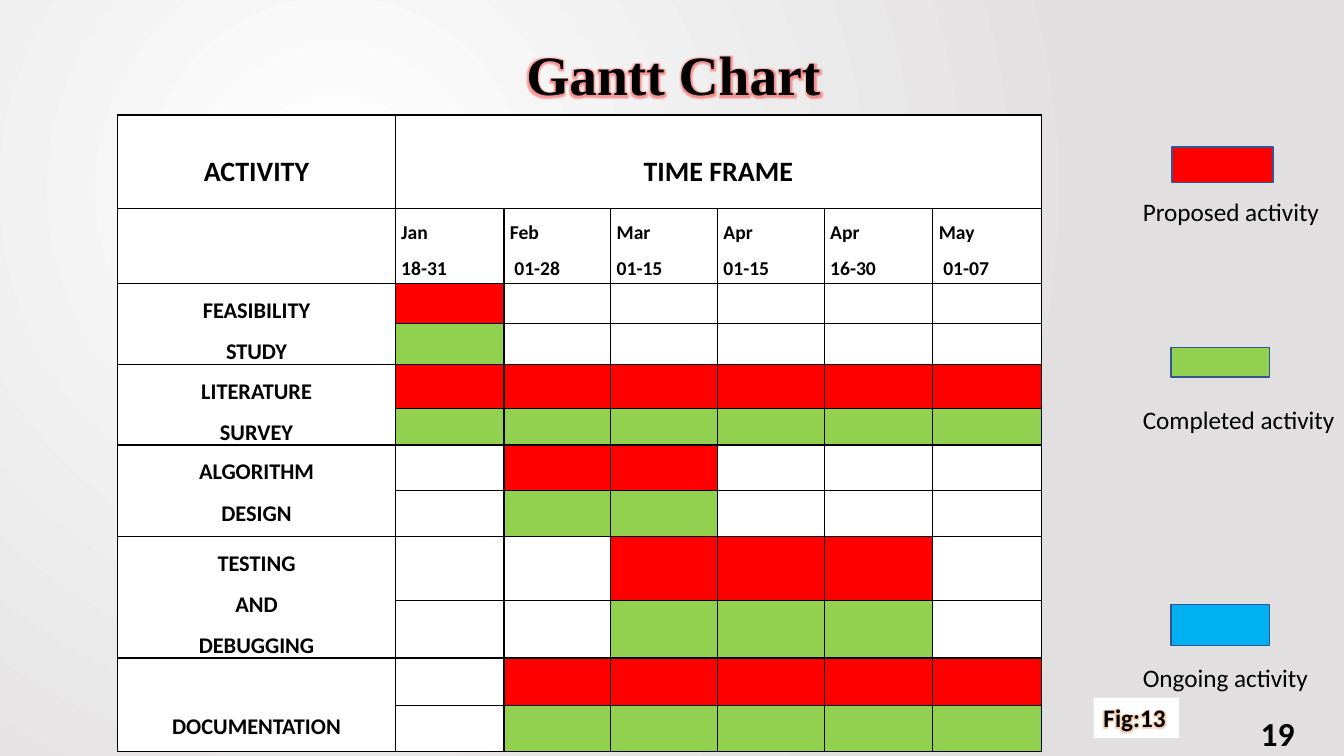
"""Build a project Gantt chart slide with a colour legend."""
from lxml.etree import SubElement
from pptx import Presentation
from pptx.dml.color import RGBColor
from pptx.enum.shapes import MSO_SHAPE
from pptx.enum.text import MSO_ANCHOR, MSO_AUTO_SIZE, PP_ALIGN
from pptx.oxml import parse_xml
from pptx.oxml.ns import nsdecls, qn
from pptx.util import Cm, Pt

COLOURS = {
    "ink": "000000",
    "paper": "FFFFFF",
    "backdrop": "E1DFDF",
    "proposed": "FF0000",
    "completed": "92D050",
    "ongoing": "00B0F0",
    "outline": "325491",
    "title glow": "FF0000",
    "figure glow": "ED7D31",
}
COLUMN_WIDTHS = [6.99, 2.74, 2.69, 2.69, 2.69, 2.74, 2.74]
ROW_HEIGHTS = [2.36, 1.88, 1.01, 1.03, 1.11, 0.92, 1.14, 1.17, 1.61, 1.45, 1.19, 1.16]
PERIODS = [("Jan", "18-31"), ("Feb", " 01-28"), ("Mar", "01-15"),
           ("Apr", "01-15"), ("Apr", "16-30"), ("May", " 01-07")]
ACTIVITIES = [
    (("FEASIBILITY", "STUDY"), 1, 1, 0),
    (("LITERATURE", "SURVEY"), 1, 6, 0),
    (("ALGORITHM", "DESIGN"), 2, 3, 0),
    (("TESTING", "AND", "DEBUGGING"), 3, 5, 0),
    (("DOCUMENTATION",), 2, 6, 1.04),
]
LEGEND = [
    ("Proposed activity", "proposed", (29.54, 3.71, 2.54, 0.89), 4.83),
    ("Completed activity", "completed", (29.51, 8.76, 2.49, 0.74), 10.06),
    ("Ongoing activity", "ongoing", (29.51, 15.24, 2.49, 1.02), 16.56),
]


def colour(name):
    return RGBColor.from_string(COLOURS[name])


def write(frame, *lines, size=18, font="Calibri", bold=False,
          align=PP_ALIGN.LEFT, spacing=1.0, glow=None):
    for index, line in enumerate(lines):
        paragraph = frame.paragraphs[0] if index == 0 else frame.add_paragraph()
        paragraph.alignment = align
        paragraph.line_spacing = spacing
        run = paragraph.add_run()
        run.text = line
        run.font.size = Pt(size)
        run.font.bold = bold
        run.font.color.rgb = colour("ink")
        if glow:
            add_glow(run, glow)
        run.font.name = font


def add_glow(run, name):
    run.font._element.append(parse_xml(
        f'<a:effectLst {nsdecls("a")}><a:glow rad="63500">'
        f'<a:srgbClr val="{COLOURS[name]}"><a:alpha val="40000"/></a:srgbClr>'
        '</a:glow></a:effectLst>'))


def add_label(slide, text, left, top, width, height, **style):
    label = slide.shapes.add_textbox(Cm(left), Cm(top), Cm(width), Cm(height))
    label.text_frame.word_wrap = True
    write(label.text_frame, text, **style)
    return label


def add_swatch(slide, fill, left, top, width, height):
    swatch = slide.shapes.add_shape(
        MSO_SHAPE.RECTANGLE, Cm(left), Cm(top), Cm(width), Cm(height))
    swatch.shadow.inherit = False
    swatch.fill.solid()
    swatch.fill.fore_color.rgb = colour(fill)
    swatch.line.color.rgb = colour("outline")
    swatch.line.width = Pt(1)


def paint_background(slide):
    fill = slide.background.fill
    fill.gradient()
    for stop, position, name in zip(fill.gradient_stops, (0, 1), ("paper", "backdrop")):
        stop.position = position
        stop.color.rgb = colour(name)
    gradient = slide.element.find(".//" + qn("a:gradFill"))
    gradient.remove(gradient.find(qn("a:lin")))
    circle = SubElement(gradient, qn("a:path"), path="circle")
    SubElement(circle, qn("a:fillToRect"), l="50000", t="50000", r="100000", b="100000")


def add_title(slide, text):
    title = slide.shapes.title
    title.left, title.top, title.width, title.height = Cm(2.34), Cm(1.02), Cm(29.26), Cm(1.88)
    title.text_frame.auto_size = MSO_AUTO_SIZE.NONE
    title.text_frame.vertical_anchor = MSO_ANCHOR.MIDDLE
    write(title.text_frame, text, size=39.6, font="Times New Roman", bold=True,
          align=PP_ALIGN.CENTER, spacing=0.9, glow="title glow")


def style_cell(cell):
    cell.margin_left = cell.margin_right = Cm(0.15)
    cell.margin_top = cell.margin_bottom = 0
    paint_cell(cell, "paper")
    properties = cell._tc.get_or_add_tcPr()
    for index, side in enumerate(("lnL", "lnR", "lnT", "lnB")):
        properties.insert(index, parse_xml(
            f'<a:{side} {nsdecls("a")} w="12700"><a:solidFill>'
            f'<a:srgbClr val="{COLOURS["ink"]}"/></a:solidFill></a:{side}>'))


def paint_cell(cell, name):
    cell.fill.solid()
    cell.fill.fore_color.rgb = colour(name)


def fill_heading(cell, *lines, size, drop=0, align=PP_ALIGN.CENTER):
    cell.margin_top = Cm(drop)
    write(cell.text_frame, *lines, size=size, bold=True, align=align, spacing=1.5)


def add_gantt(slide):
    gantt = slide.shapes.add_table(
        len(ROW_HEIGHTS), len(COLUMN_WIDTHS), Cm(2.97), Cm(2.9),
        Cm(sum(COLUMN_WIDTHS)), Cm(sum(ROW_HEIGHTS))).table
    gantt.first_row = gantt.horz_banding = False
    for column, width in zip(gantt.columns, COLUMN_WIDTHS):
        column.width = Cm(width)
    for row, height in zip(gantt.rows, ROW_HEIGHTS):
        row.height = Cm(height)
    for cell in gantt.iter_cells():
        style_cell(cell)

    gantt.cell(0, 1).merge(gantt.cell(0, 6))
    fill_heading(gantt.cell(0, 0), "ACTIVITY", size=20, drop=0.58)
    fill_heading(gantt.cell(0, 1), "TIME FRAME", size=20, drop=0.58)
    for column, period in enumerate(PERIODS, start=1):
        fill_heading(gantt.cell(1, column), *period, size=14, align=PP_ALIGN.JUSTIFY)

    for index, (name, first, last, drop) in enumerate(ACTIVITIES):
        row = 2 + 2 * index
        gantt.cell(row, 0).merge(gantt.cell(row + 1, 0))
        fill_heading(gantt.cell(row, 0), *name, size=16, drop=drop)
        for column in range(first, last + 1):
            paint_cell(gantt.cell(row, column), "proposed")
            paint_cell(gantt.cell(row + 1, column), "completed")


def add_legend(slide):
    for text, fill, swatch_box, label_top in LEGEND:
        add_swatch(slide, fill, *swatch_box)
        add_label(slide, text, 28.55, label_top, 7.62, 1.02)


def main():
    deck = Presentation()
    deck.slide_width, deck.slide_height = Cm(33.87), Cm(19.05)
    slide = deck.slides.add_slide(deck.slide_layouts[5])
    paint_background(slide)
    add_title(slide, "Gantt Chart")
    add_legend(slide)
    add_label(slide, "19", 31.52, 17.83, 1.68, 1.27, size=24, bold=True)
    figure = add_label(slide, "Fig:13", 27.56, 17.58, 2.16, 1.02,
                       bold=True, glow="figure glow")
    figure.fill.solid()
    figure.fill.fore_color.rgb = colour("paper")
    add_gantt(slide)
    deck.save("out.pptx")


if __name__ == "__main__":
    main()
